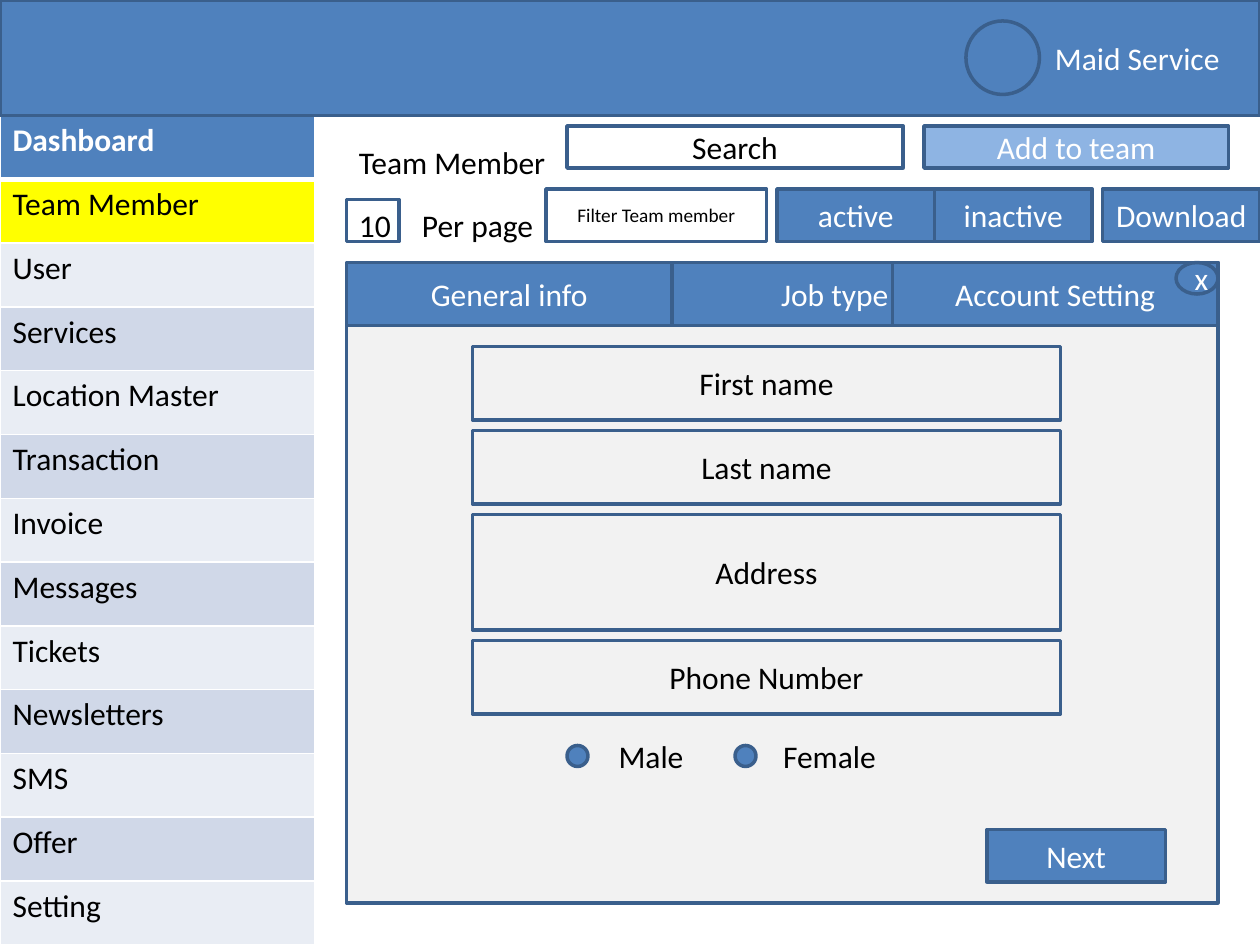
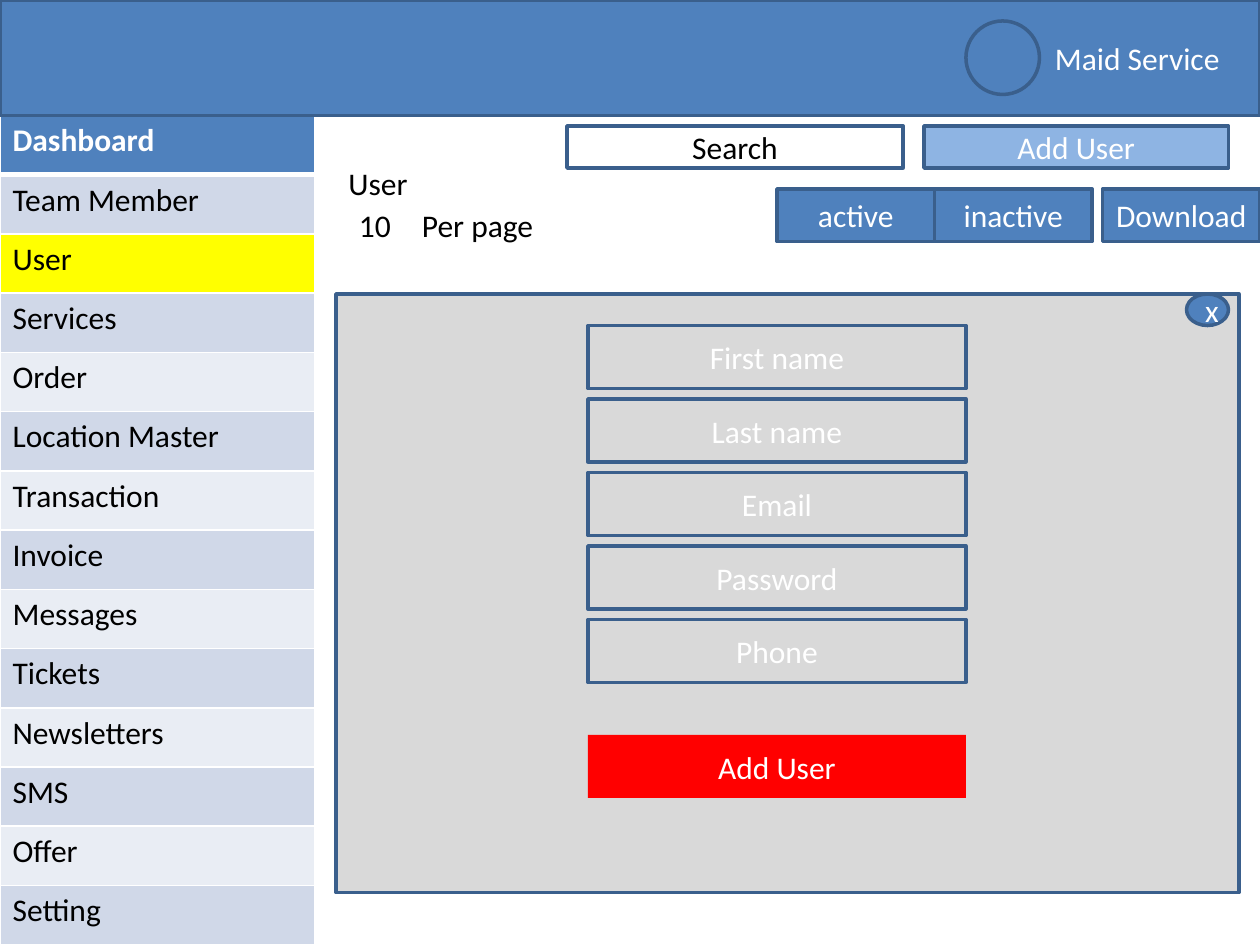
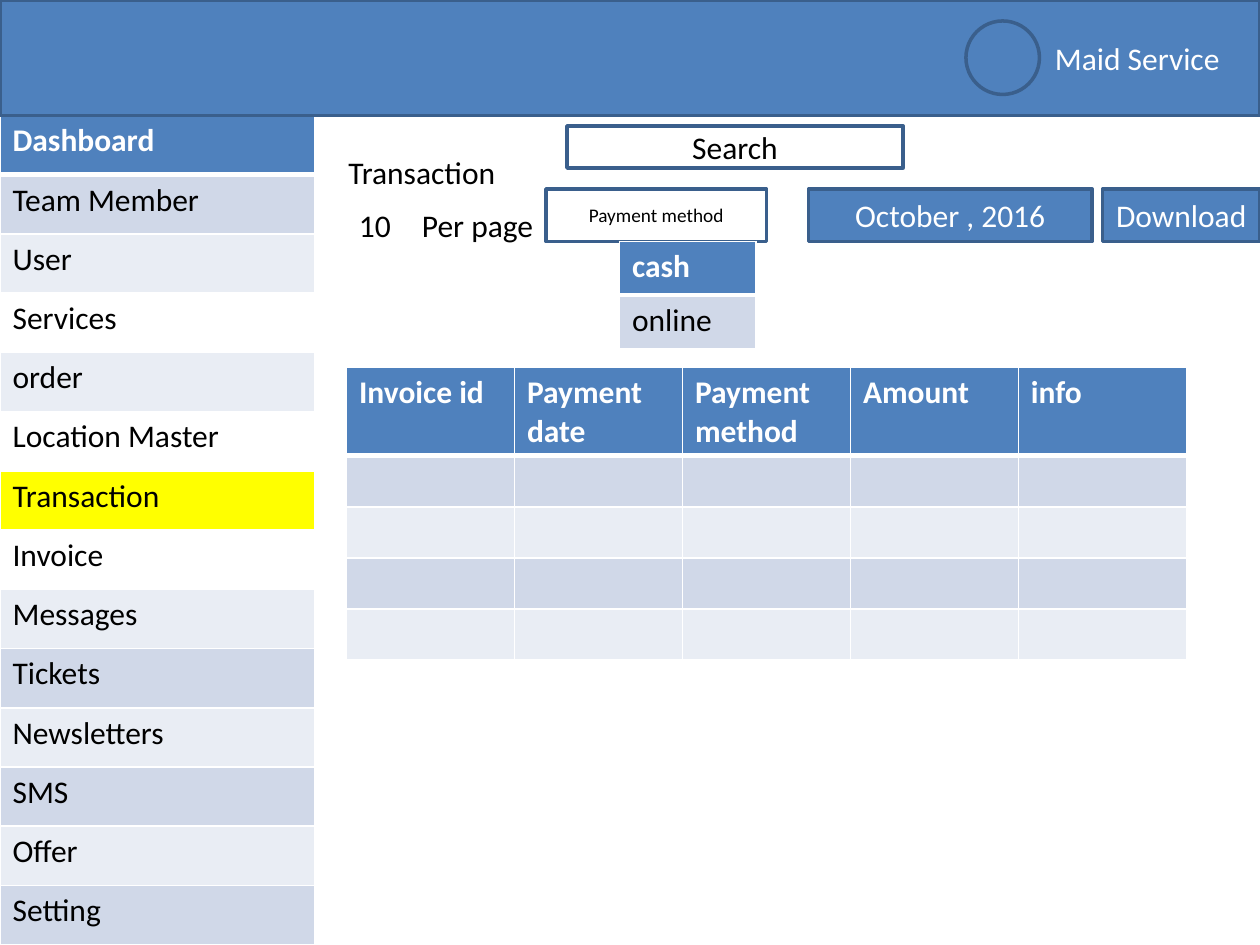
"""Build three wireframe screens of a maid service admin panel."""
from dataclasses import dataclass
from typing import Optional

from lxml import etree
from pptx import Presentation
from pptx.dml.color import RGBColor
from pptx.enum.shapes import MSO_SHAPE
from pptx.enum.text import MSO_ANCHOR, MSO_AUTO_SIZE, PP_ALIGN
from pptx.oxml.ns import qn
from pptx.slide import Slide
from pptx.util import Pt

RECTANGLE, OVAL = MSO_SHAPE.RECTANGLE, MSO_SHAPE.OVAL
CENTER, RIGHT = PP_ALIGN.CENTER, PP_ALIGN.RIGHT
MIDDLE, FIT_TEXT = MSO_ANCHOR.MIDDLE, MSO_AUTO_SIZE.SHAPE_TO_FIT_TEXT

FONT, BODY, SMALL = "Calibri", 18, 11
BLUE, OUTLINE, LIGHT_BLUE = "4F81BD", "3A5F8C", "8EB4E3"
DARK_BAND, LIGHT_BAND, HIGHLIGHT = "D0D8E8", "E9EDF4", "FFFF00"
PALE_GREY, GREY, RED = "F2F2F2", "D9D9D9", "FF0000"
WHITE, BLACK = "FFFFFF", "000000"

SLIDE_WIDTH, SLIDE_HEIGHT = 720, 540
HEADER_HEIGHT, MENU_WIDTH = 66, 180
TITLE_INSET = 23
GAP = 6
MENU = ["Dashboard", "Team Member", "User", "Services", "Location Master",
        "Transaction", "Invoice", "Messages", "Tickets", "Newsletters",
        "SMS", "Offer", "Setting"]


@dataclass(frozen=True)
class Box:
    """A preset shape with centred text."""
    left: float
    top: float
    width: float
    height: float
    text: str = ""
    fill: Optional[str] = BLUE
    color: str = WHITE
    line: Optional[str] = OUTLINE
    size: float = BODY
    outline: MSO_SHAPE = RECTANGLE


@dataclass(frozen=True)
class Label:
    """A free text line."""
    left: float
    top: float
    width: float
    text: str


@dataclass(frozen=True)
class Grid:
    """A table whose first row is a heading."""
    left: float
    top: float
    column_widths: list[float]
    row_heights: list[float]
    rows: list[list[str]]
    fills: list[Optional[str]]


PER_PAGE = [Label(234, 114, 79, "Per page"), Label(198, 114, 33, "10")]
SEARCH = Box(324, 72, 192, 24, "Search", None, BLACK)
DOWNLOAD = Box(630, 108, 90, 30, "Download")
STATUS = [Box(444 + 90 * i, 108, 90, 30, status)
          for i, status in enumerate(["active", "inactive"])]


def rgb(value: str) -> RGBColor:
    """Turn a hex string into a colour."""
    return RGBColor.from_string(value)


def paint(fill, value: Optional[str]) -> None:
    """Fill with a colour, or with nothing."""
    if value is None:
        fill.background()
    else:
        fill.solid()
        fill.fore_color.rgb = rgb(value)


def write(frame, text: str, color: str, size: float = BODY, bold: bool = False) -> None:
    """Put one formatted line into a text frame."""
    frame.text = text
    for run in frame.paragraphs[0].runs:
        run.font.name, run.font.size, run.font.bold = FONT, Pt(size), bold
        run.font.color.rgb = rgb(color)


def add_box(slide: Slide, box: Box):
    """Draw a box and return its shape."""
    shape = slide.shapes.add_shape(
        box.outline, Pt(box.left), Pt(box.top), Pt(box.width), Pt(box.height))
    shape.shadow.inherit = False
    paint(shape.fill, box.fill)
    paint(shape.line.fill, box.line)
    if box.line:
        shape.line.width = Pt(2)
    if box.text:
        write(shape.text_frame, box.text, box.color, box.size)
        shape.text_frame.vertical_anchor = MIDDLE
        shape.text_frame.paragraphs[0].alignment = CENTER
    return shape


def add_label(slide: Slide, label: Label) -> None:
    """Draw a text line that does not wrap."""
    frame = slide.shapes.add_textbox(
        Pt(label.left), Pt(label.top), Pt(label.width), Pt(29)).text_frame
    frame.word_wrap = False
    frame.auto_size = FIT_TEXT
    write(frame, label.text, BLACK)


def add_borders(cell, top: float, bottom: float) -> None:
    """Give a cell white borders."""
    properties = cell._tc.get_or_add_tcPr()
    for side, width in (("L", 1), ("R", 1), ("T", top), ("B", bottom)):
        border = etree.SubElement(properties, qn(f"a:ln{side}"), w=str(Pt(width)))
        solid = etree.SubElement(border, qn("a:solidFill"))
        etree.SubElement(solid, qn("a:srgbClr"), val=WHITE)


def add_grid(slide: Slide, grid: Grid) -> None:
    """Draw a table with a bold heading row."""
    table = slide.shapes.add_table(
        len(grid.rows), len(grid.column_widths), Pt(grid.left), Pt(grid.top),
        Pt(sum(grid.column_widths)), Pt(sum(grid.row_heights))).table
    table.horz_banding = False
    for column, width in zip(table.columns, grid.column_widths):
        column.width = Pt(width)
    for index, (row, height) in enumerate(zip(table.rows, grid.row_heights)):
        row.height = Pt(height)
        heading = index == 0
        for cell, text in zip(row.cells, grid.rows[index]):
            add_borders(cell, 3 if index == 1 else 1, 3 if heading else 1)
            paint(cell.fill, grid.fills[index])
            write(cell.text_frame, text, WHITE if heading else BLACK, bold=heading)


def band_fills(count: int) -> list[Optional[str]]:
    """List the fills of a heading row and alternating bands."""
    return [BLUE] + [DARK_BAND if i % 2 else LIGHT_BAND for i in range(1, count)]


def add_screen(presentation, items: list[str], current: str,
               unfilled: tuple[int, ...] = ()) -> Slide:
    """Add a slide with the side menu and the header band."""
    slide = presentation.slides.add_slide(presentation.slide_layouts[6])
    fills = band_fills(len(items))
    fills[items.index(current)] = HIGHLIGHT
    for index in unfilled:
        fills[index] = None
    row_height = round((SLIDE_HEIGHT - HEADER_HEIGHT) / len(items), 2)
    add_grid(slide, Grid(0, HEADER_HEIGHT, [MENU_WIDTH], [row_height] * len(items),
                         [[item] for item in items], fills))
    header = add_box(slide, Box(0, 0, SLIDE_WIDTH, HEADER_HEIGHT, "Maid Service"))
    header.text_frame.margin_right = Pt(TITLE_INSET)
    header.text_frame.paragraphs[0].alignment = RIGHT
    add_box(slide, Box(552, 12, 42, 42, outline=OVAL))
    return slide


def add_parts(slide: Slide, parts: list) -> None:
    """Draw boxes and labels from back to front."""
    for part in parts:
        if isinstance(part, Label):
            add_label(slide, part)
        else:
            add_box(slide, part)


def stack(left: float, top: float, width: float, color: str,
          fields: list[tuple[str, float]]) -> list[Box]:
    """Lay out form fields below each other with equal gaps."""
    boxes = []
    for text, height in fields:
        boxes.append(Box(left, top, width, height, text, None, color))
        top += height + GAP
    return boxes


def close_button(left: float, top: float) -> Box:
    """Describe the button that closes a panel."""
    return Box(left, top, 24, 18, "x", outline=OVAL)


def add_team_screen(presentation) -> None:
    """Add the team member form."""
    slide = add_screen(presentation, MENU, "Team Member")
    tabs = [Box(left, 150, 186, 36, text) for left, text in
            ((198, "General info"), (384, "Job type"), (510, "Account Setting"))]
    genders = []
    for left, width, text in ((324, 60, "Male"), (420, 72, "Female")):
        genders += [Box(left, 426, 12, 12, outline=OVAL),
                    Box(left + 18, 420, width, 24, text, None, BLACK, None)]
    add_parts(slide, [
        Label(198, 78, 122, "Team Member"),
        Box(198, 114, 30, 24, fill=None),
        *PER_PAGE,
        Box(312, 108, 126, 30, "Filter Team member", None, BLACK, size=SMALL),
        *STATUS,
        DOWNLOAD,
        Box(528, 72, 174, 24, "Add to team", LIGHT_BLUE),
        SEARCH,
        Box(198, 150, 498, 366, fill=PALE_GREY),
        *tabs,
        *stack(270, 198, 336, BLACK, [("First name", 42), ("Last name", 42),
                                      ("Address", 66), ("Phone Number", 42)]),
        *genders,
        Box(564, 474, 102, 30, "Next"),
        close_button(672, 150),
    ])


def add_user_screen(presentation) -> None:
    """Add the user form."""
    slide = add_screen(presentation, MENU[:4] + ["Order"] + MENU[4:], "User")
    fields = ["First name", "Last name", "Email", "Password", "Phone"]
    add_parts(slide, [
        Label(192, 90, 49, "User"),
        SEARCH,
        *STATUS,
        DOWNLOAD,
        *PER_PAGE,
        Box(528, 72, 174, 24, "Add User", LIGHT_BLUE),
        Box(192, 168, 516, 342, fill=GREY),
        *stack(336, 186, 216, WHITE, [(field, 36) for field in fields]),
        Box(336, 420, 216, 36, "Add User", RED, line=None),
        close_button(678, 168),
    ])


def add_transaction_screen(presentation) -> None:
    """Add the transaction list."""
    slide = add_screen(presentation, MENU[:4] + ["order"] + MENU[4:],
                       "Transaction", unfilled=(3, 5, 7))
    add_parts(slide, [
        Label(192, 84, 99, "Transaction"),
        *PER_PAGE,
        Box(312, 108, 126, 30, "Payment method", None, BLACK, size=SMALL),
        Box(462, 108, 162, 30, "October , 2016"),
        DOWNLOAD,
        SEARCH,
    ])
    add_grid(slide, Grid(354, 138, [78], [30.6] * 2, [["cash"], ["online"]],
                         band_fills(2)))
    headings = ["Invoice id", "Payment date", "Payment method", "Amount", "info"]
    add_grid(slide, Grid(198, 210, [96] * 5, [50] + [29.2] * 4,
                         [headings] + [[""] * 5] * 4, band_fills(5)))


def main() -> None:
    """Build and save the presentation."""
    presentation = Presentation()
    presentation.slide_width, presentation.slide_height = Pt(SLIDE_WIDTH), Pt(SLIDE_HEIGHT)
    add_team_screen(presentation)
    add_user_screen(presentation)
    add_transaction_screen(presentation)
    presentation.save("out.pptx")


main()
